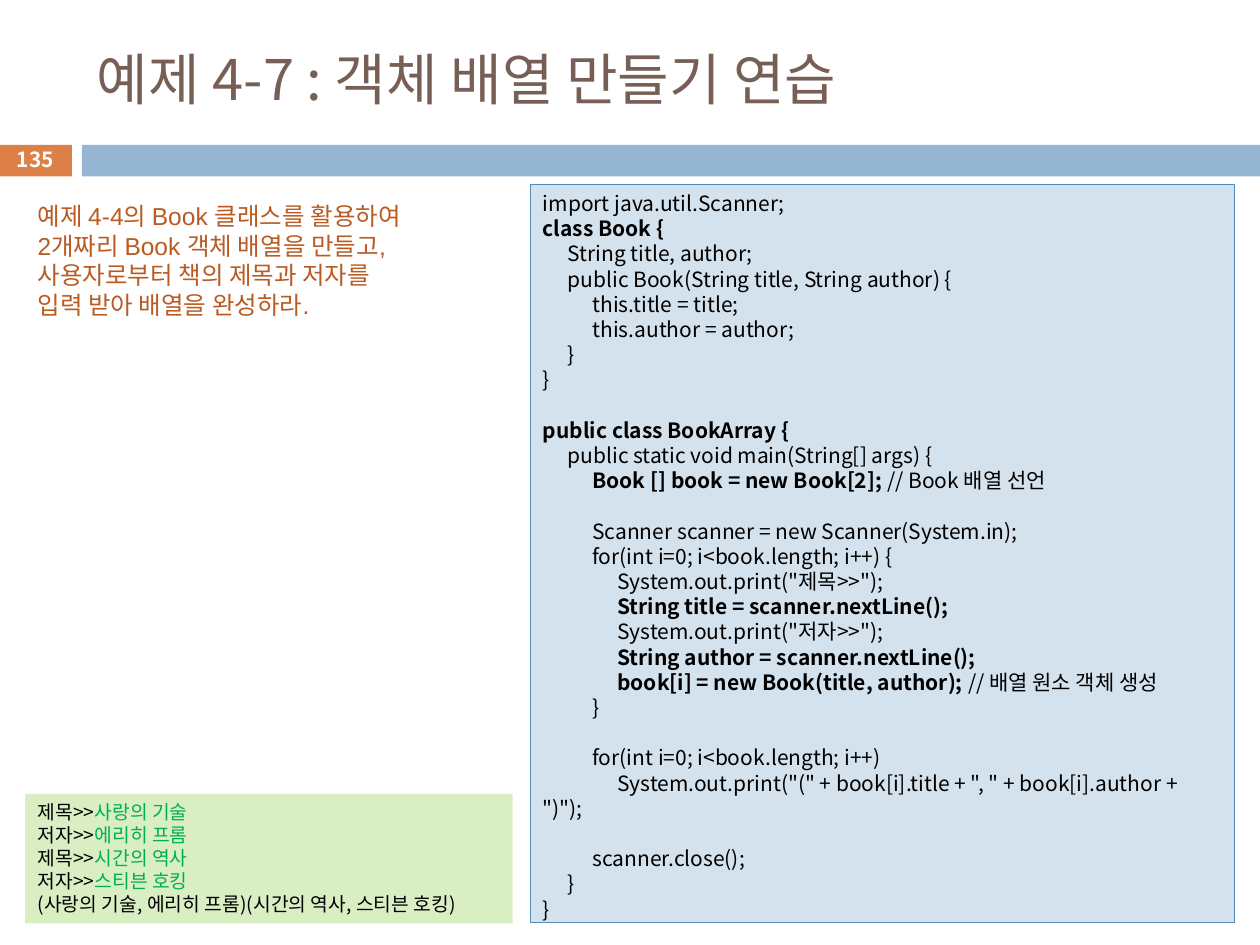
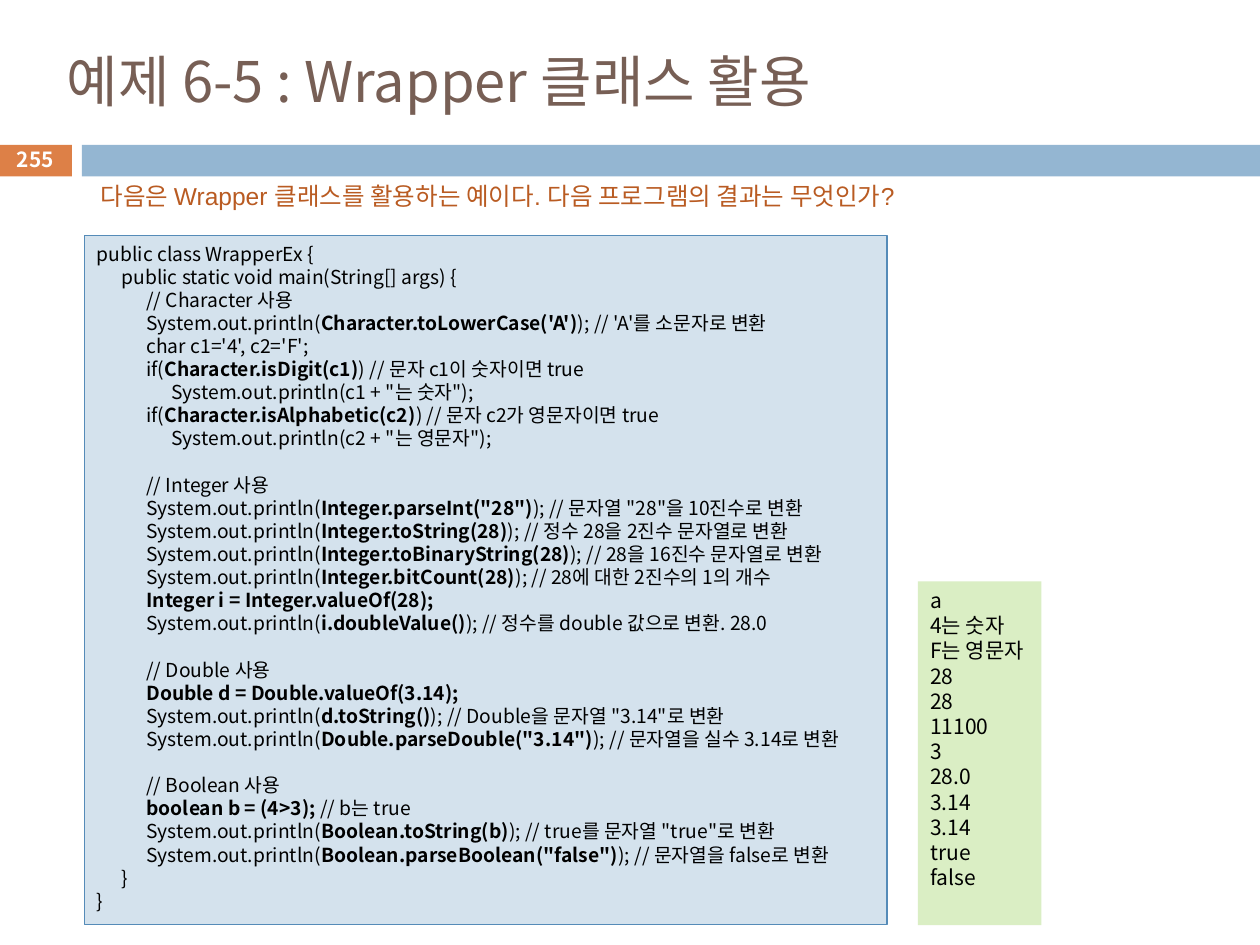
from lxml import etree
from pptx import Presentation
from pptx.dml.color import RGBColor
from pptx.enum.shapes import MSO_SHAPE
from pptx.enum.text import MSO_ANCHOR, PP_ALIGN
from pptx.oxml.ns import qn
from pptx.util import Pt

RECT = MSO_SHAPE.RECTANGLE
TOP, MIDDLE = MSO_ANCHOR.TOP, MSO_ANCHOR.MIDDLE
LEFT, CENTER = PP_ALIGN.LEFT, PP_ALIGN.CENTER

KOREAN, LATIN = "Noto Sans CJK KR", "Arial"
BROWN, ORANGE, BLUE, WHITE, BLACK = "775F55", "DD8047", "94B6D2", "FFFFFF", "000000"
RUST, GREEN = "B95B22", "00B050"
CODE_FILL, CODE_LINE, OUTPUT_FILL = "D4E2ED", "558BB8", "DAEEC4"
TAB = 14.17          # code indent step
LEADING = 1.2        # line height per point of text size
MARK = "**"          # encloses emphasised text

# Each text is a list of sections, set one line apart
BOOK_CODE = ['''\
import java.util.Scanner;
**class Book {**
    String title, author;
    public Book(String title, String author) {
        this.title = title;
        this.author = author;
    }
}''', '''\
**public class BookArray {**
    public static void main(String[] args) {
        **Book [] book = new Book[2]; **// Book 배열 선언''', '''\
        Scanner scanner = new Scanner(System.in);
        for(int i=0; i<book.length; i++) {
            System.out.print("제목>>");
            **String title = scanner.nextLine();**
            System.out.print("저자>>");
            **String author = scanner.nextLine();**
            **book[i] = new Book(title, author); **// 배열 원소 객체 생성
        }''', '''\
        for(int i=0; i<book.length; i++)
            System.out.print("(" + book[i].title + ", " + book[i].author + ")");''', '''\
        scanner.close();
    }
}''']

BOOK_TASK = ['''\
예제 4-4의 Book 클래스를 활용하여
2개짜리 Book 객체 배열을 만들고,
사용자로부터 책의 제목과 저자를
입력 받아 배열을 완성하라.''']

BOOK_OUTPUT = ['''\
제목>>**사랑의 기술**
저자>>**에리히 프롬**
제목>>**시간의 역사**
저자>>**스티븐 호킹**
(사랑의 기술, 에리히 프롬)(시간의 역사, 스티븐 호킹)''']

WRAPPER_CODE = ['''\
public class WrapperEx {
    public static void main(String[] args) {
        // Character 사용
        System.out.println(**Character.toLowerCase('A')**); // 'A'를 소문자로 변환
        char c1='4', c2='F';
        if(**Character.isDigit(c1)**) // 문자 c1이 숫자이면 true
            System.out.println(c1 + "는 숫자");
        if(**Character.isAlphabetic(c2)**) // 문자 c2가 영문자이면 true
            System.out.println(c2 + "는 영문자");''', '''\
        // Integer 사용
        System.out.println(**Integer.parseInt("28")**); // 문자열 "28"을 10진수로 변환
        System.out.println(**Integer.toString(28)**); // 정수 28을 2진수 문자열로 변환
        System.out.println(**Integer.toBinaryString(28)**); // 28을 16진수 문자열로 변환
        System.out.println(**Integer.bitCount(28)**); // 28에 대한 2진수의 1의 개수
        **Integer i = Integer.valueOf(28);**
        System.out.println(**i.doubleValue()**); // 정수를 double 값으로 변환. 28.0''', '''\
        // Double 사용
        **Double d = Double.valueOf(3.14);**
        System.out.println(**d.toString()**); // Double을 문자열 "3.14"로 변환
        System.out.println(**Double.parseDouble("3.14")**); // 문자열을 실수 3.14로 변환''', '''\
        // Boolean 사용
        **boolean b = (4>3); **// b는 true
        System.out.println(**Boolean.toString(b)**); // true를 문자열 "true"로 변환
        System.out.println(**Boolean.parseBoolean("false")**); // 문자열을 false로 변환
    }
}''']

WRAPPER_TASK = ["다음은 Wrapper 클래스를 활용하는 예이다. 다음 프로그램의 결과는 무엇인가?"]

WRAPPER_OUTPUT = ['''\
a
4는 숫자
F는 영문자
28
28
11100
3
28.0
3.14
3.14
true
false''']


def rgb(color):
    return RGBColor.from_string(color)


class Deck:
    def __init__(self):
        self.prs = Presentation()
        self.prs.slide_width, self.prs.slide_height = Pt(720), Pt(540)
        self.s = None

    def slide(self, title, title_box, number):
        """Start a slide with its bands, title and page number."""
        self.s = self.prs.slides.add_slide(self.prs.slide_layouts[6])
        self.rect((-0.72, 82.8, 41.76, 18), ORANGE)
        self.rect((46.8, 82.8, 673.2, 18), BLUE)
        self.label(title_box, title, 32, BROWN)
        self.label((-0.72, 81.36, 41.76, 19.44), number, 11.9, WHITE, True, CENTER)

    def rect(self, box, fill, line=None):
        sp = self.s.shapes.add_shape(RECT, *map(Pt, box))
        sp.shadow.inherit = False
        sp.fill.solid()
        sp.fill.fore_color.rgb = rgb(fill)
        if line:
            sp.line.color.rgb = rgb(line)
            sp.line.width = Pt(0.75)
        else:
            sp.line.fill.background()
        return sp

    def textbox(self, box):
        return self.s.shapes.add_textbox(*map(Pt, box))

    def frame(self, sp, anchor):
        tf = sp.text_frame
        tf.word_wrap = True
        tf.vertical_anchor = anchor
        return tf

    def run(self, p, text, size, color, bold=False, font=KOREAN):
        r = p.add_run()
        r.text = text
        r.font.size, r.font.name, r.font.bold = Pt(size), font, bold
        r.font.color.rgb = rgb(color)
        etree.SubElement(r.font._element, qn("a:ea"), typeface=KOREAN)

    def label(self, box, text, size, color, bold=False, align=LEFT):
        p = self.frame(self.textbox(box), MIDDLE).paragraphs[0]
        p.alignment = align
        self.run(p, text, size, color, bold)

    def tabs(self, p):
        stops = etree.SubElement(p._p.get_or_add_pPr(), qn("a:tabLst"))
        for level in (1, 2, 3):
            etree.SubElement(stops, qn("a:tab"), pos=str(Pt(level * TAB)), algn="l")

    def lines(self, sp, sections, size, color=BLACK, accent=None, font=KOREAN):
        """Fill a shape line by line; marked text is bold or in the accent colour."""
        tf = self.frame(sp, TOP)
        for i, section in enumerate(sections):
            for j, line in enumerate(section.split("\n")):
                p = tf.add_paragraph() if i or j else tf.paragraphs[0]
                body = line.lstrip(" ")
                level = (len(line) - len(body)) // 4
                if level:
                    self.tabs(p)
                p.alignment = LEFT
                p.line_spacing = Pt(size * LEADING)
                if i and not j:
                    p.space_before = Pt(size * LEADING)
                for n, part in enumerate(("\t" * level + body).split(MARK)):
                    if part:
                        marked = n % 2 == 1
                        self.run(p, part, size, accent if marked and accent else color,
                                 marked and not accent, font)

    def code(self, box, sections, size):
        self.lines(self.rect(box, CODE_FILL, CODE_LINE), sections, size)

    def output(self, box, sections, size):
        self.lines(self.rect(box, OUTPUT_FILL), sections, size, accent=GREEN)

    def task(self, box, sections):
        self.lines(self.textbox(box), sections, 14, RUST, font=LATIN)


def main():
    deck = Deck()

    # Array of objects
    deck.slide("예제 4-7 : 객체 배열 만들기 연습", (48.24, 18, 642.24, 53.28), "135")
    deck.task((14.4, 111.6, 277.92, 74.88), BOOK_TASK)
    deck.output((14.4, 453.6, 278.64, 74.16), BOOK_OUTPUT, 11)
    deck.code((303.12, 105.4, 402.48, 421.92), BOOK_CODE, 12)

    # Wrapper classes
    deck.slide("예제 6-5 : Wrapper 클래스 활용", (30.96, 18, 680.4, 55.44), "255")
    deck.code((48.24, 134.64, 458.64, 393.84), WRAPPER_CODE, 11)
    deck.task((50.4, 100.08, 615.6, 24.48), WRAPPER_TASK)
    deck.output((524.5, 332.2, 70.56, 196.56), WRAPPER_OUTPUT, 12)

    deck.prs.save("out.pptx")


if __name__ == "__main__":
    main()
